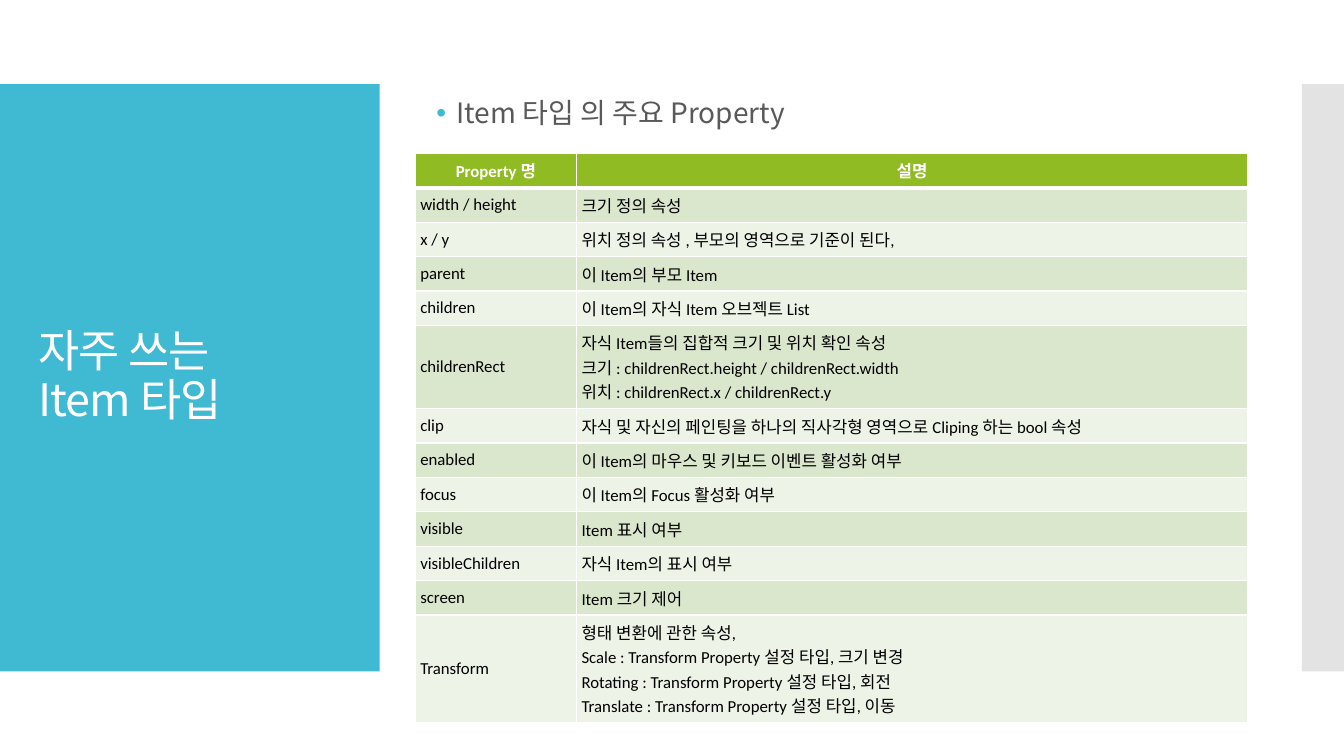
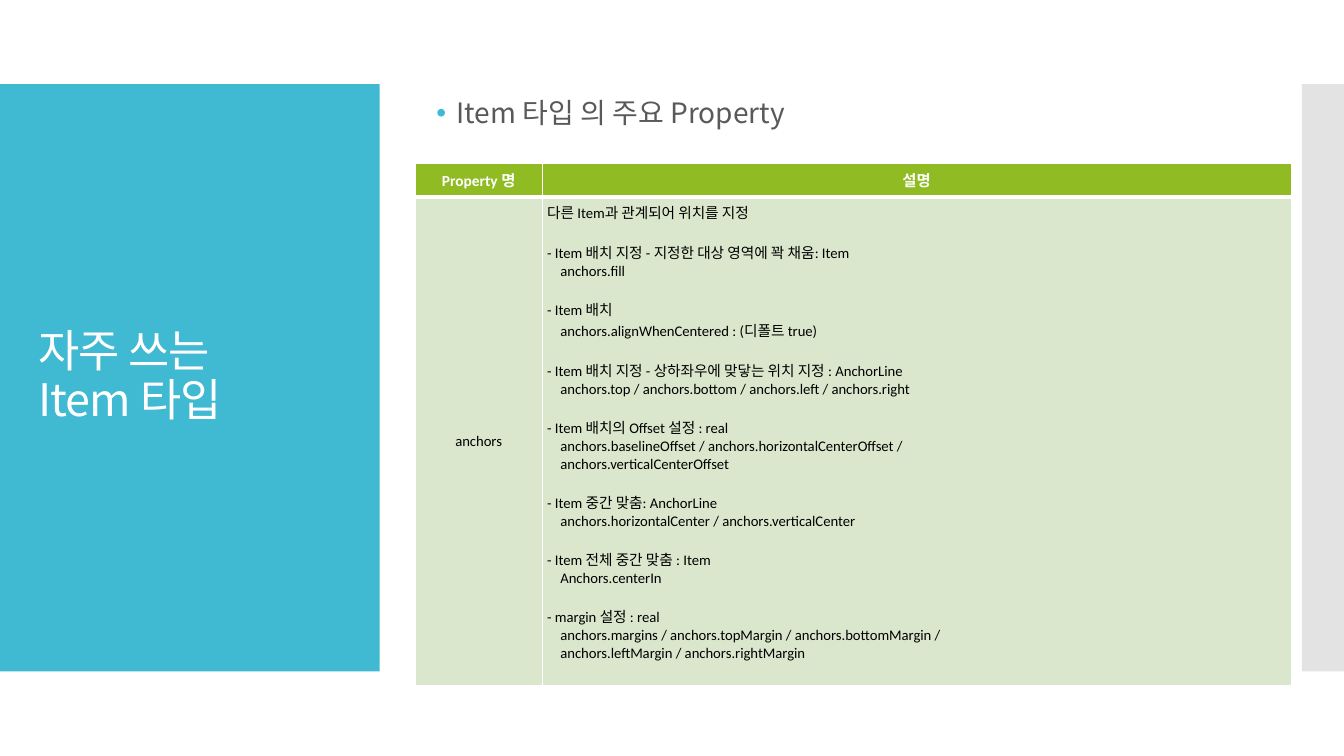
from lxml.etree import SubElement
from pptx import Presentation
from pptx.dml.color import RGBColor
from pptx.enum.shapes import MSO_SHAPE
from pptx.enum.text import MSO_ANCHOR, MSO_AUTO_SIZE, PP_ALIGN
from pptx.oxml.ns import qn
from pptx.util import Pt

TITLE_LINES = ("자주 쓰는", "Item 타입")
TOPIC = "Item 타입 의 주요 Property"
HEADER = ("Property 명", "설명")

# A description is a list of groups; a group is a heading and its indented lines.
PROPERTIES = [
    ("width / height", [["크기 정의 속성"]]),
    ("x / y", [["위치 정의 속성 , 부모의 영역으로 기준이 된다,"]]),
    ("parent", [["이 Item의 부모 Item"]]),
    ("children", [["이 Item의 자식 Item 오브젝트 List"]]),
    ("childrenRect", [
        ["자식 Item들의 집합적 크기 및 위치 확인 속성"],
        ["크기 : childrenRect.height / childrenRect.width"],
        ["위치 : childrenRect.x / childrenRect.y"],
    ]),
    ("clip", [["자식 및 자신의 페인팅을 하나의 직사각형 영역으로 Cliping 하는 bool 속성"]]),
    ("enabled", [["이 Item의 마우스 및 키보드 이벤트 활성화 여부"]]),
    ("focus", [["이 Item의 Focus 활성화 여부"]]),
    ("visible", [["Item 표시 여부"]]),
    ("visibleChildren", [["자식 Item의 표시 여부"]]),
    ("screen", [["Item 크기 제어"]]),
    ("Transform", [
        ["형태 변환에 관한 속성,"],
        ["Scale : Transform Property 설정 타입, 크기 변경"],
        ["Rotating : Transform Property 설정 타입, 회전"],
        ["Translate : Transform Property 설정 타입, 이동"],
    ]),
]
ANCHORS = [
    ("anchors", [
        ["다른 Item과 관계되어 위치를 지정"],
        ["- Item 배치 지정 - 지정한 대상 영역에 꽉 채움: Item", "anchors.fill"],
        ["- Item 배치", "anchors.alignWhenCentered : (디폴트 true)"],
        ["- Item 배치 지정 - 상하좌우에 맞닿는 위치 지정 : AnchorLine",
         "anchors.top / anchors.bottom / anchors.left / anchors.right"],
        ["- Item 배치의 Offset 설정 : real",
         "anchors.baselineOffset / anchors.horizontalCenterOffset /",
         "anchors.verticalCenterOffset"],
        ["- Item 중간 맞춤: AnchorLine",
         "anchors.horizontalCenter / anchors.verticalCenter"],
        ["- Item 전체 중간 맞춤 : Item", "Anchors.centerIn"],
        ["- margin 설정 : real",
         "anchors.margins / anchors.topMargin / anchors.bottomMargin /",
         "anchors.leftMargin / anchors.rightMargin"],
    ]),
]


def color(value):
    return RGBColor.from_string(value)


class SlideBuilder:
    ACCENT, SIDE, WHITE, BLACK, GRAY = "40BAD2", "C8C8C8", "FFFFFF", "000000", "595959"
    HEAD, BANDS = "90BB23", ("DBE7CD", "EEF3E8")
    DISPLAY, BODY = "Noto Sans CJK KR", "Calibri"
    TABLE_LEFT, CELL_MARGIN, INDENT = 296.6, 3.6, 9.4

    def __init__(self):
        self.deck = Presentation()
        self.deck.slide_width, self.deck.slide_height = Pt(960), Pt(540)
        self.page = None

    def start_page(self):
        self.page = self.deck.slides.add_slide(self.deck.slide_layouts[5])
        self.band(0, 271.2, self.ACCENT)
        self.band(930, 30, self.SIDE, opacity=50)
        self.title()
        self.topic()

    def band(self, left, width, fill, opacity=100):
        """Draw a full-height side band behind the title."""
        shape = self.page.shapes.add_shape(
            MSO_SHAPE.RECTANGLE, Pt(left), Pt(60), Pt(width), Pt(419.5))
        shape.shadow.inherit = False
        shape.fill.solid()
        shape.fill.fore_color.rgb = color(fill)
        shape.line.fill.background()
        if opacity < 100:
            tint = shape._element.spPr.find(qn("a:solidFill"))[0]
            SubElement(tint, qn("a:alpha"), val=str(opacity * 1000))
        self.page.shapes.title._element.addprevious(shape._element)

    def span(self, para, text, size, ink, face, bold=False):
        run = para.add_run()
        run.text = text
        run.font.size, run.font.bold, run.font.name = Pt(size), bold, face
        run.font.color.rgb = color(ink)
        properties = run._r.get_or_add_rPr()
        east_asian = SubElement(properties, qn("a:ea"), typeface=self.DISPLAY)
        properties.find(qn("a:latin")).addnext(east_asian)
        return run

    def title(self):
        box = self.page.shapes.title
        box.left, box.top, box.width, box.height = Pt(20), Pt(88.5), Pt(232), Pt(362)
        frame = box.text_frame
        frame.word_wrap, frame.auto_size = True, MSO_AUTO_SIZE.NONE
        frame.vertical_anchor = MSO_ANCHOR.MIDDLE
        para = frame.paragraphs[0]
        para.alignment, para.line_spacing = PP_ALIGN.LEFT, 0.9
        for index, line in enumerate(TITLE_LINES):
            if index:
                para.add_line_break()
            run = self.span(para, line, 32, self.WHITE, self.DISPLAY)
            run._r.get_or_add_rPr().set("spc", "-60")

    def topic(self):
        box = self.page.shapes.add_textbox(Pt(304.6), Pt(67.7), Pt(576), Pt(35.5))
        box.text_frame.word_wrap = True
        para = box.text_frame.paragraphs[0]
        para.line_spacing = 0.9
        properties = para._p.get_or_add_pPr()
        properties.set("marL", str(Pt(14.4)))
        properties.set("indent", str(-Pt(14.4)))
        bullet_color = SubElement(properties, qn("a:buClr"))
        SubElement(bullet_color, qn("a:srgbClr"), val=self.ACCENT)
        SubElement(properties, qn("a:buFont"), typeface="Arial")
        SubElement(properties, qn("a:buChar"), char="•")
        self.span(para, TOPIC, 20, self.GRAY, self.DISPLAY)

    def borders(self, cell, top, bottom):
        properties = cell._tc.get_or_add_tcPr()
        for side, weight in (("L", 1), ("R", 1), ("T", top), ("B", bottom)):
            line = SubElement(properties, qn("a:ln" + side), w=str(Pt(weight)))
            fill = SubElement(line, qn("a:solidFill"))
            SubElement(fill, qn("a:srgbClr"), val=self.WHITE)

    def cell(self, cell, groups, fill, size, ink, bold=False, centered=False,
             gap=0, top=1, bottom=1, anchor=MSO_ANCHOR.MIDDLE):
        """Fill a cell with groups of lines, set apart by gap points."""
        cell.margin_left = cell.margin_right = Pt(self.CELL_MARGIN)
        cell.margin_top = cell.margin_bottom = Pt(self.CELL_MARGIN)
        cell.vertical_anchor = anchor
        self.borders(cell, top, bottom)
        cell.fill.solid()
        cell.fill.fore_color.rgb = color(fill)
        frame = cell.text_frame
        for group_index, group in enumerate(groups):
            for line_index, line in enumerate(group):
                first = group_index == line_index == 0
                para = frame.paragraphs[0] if first else frame.add_paragraph()
                para.alignment = PP_ALIGN.CENTER if centered else PP_ALIGN.LEFT
                if line_index:
                    para._p.get_or_add_pPr().set("marL", str(Pt(self.INDENT)))
                elif group_index and gap:
                    para.space_before = Pt(gap)
                self.span(para, line, size, ink, self.BODY, bold)

    def table(self, rows, top, widths, heights, head_size, size, gap=0,
              center_names=False, anchor=MSO_ANCHOR.MIDDLE):
        table = self.page.shapes.add_table(
            len(rows) + 1, len(widths), Pt(self.TABLE_LEFT), Pt(top),
            Pt(sum(widths)), Pt(sum(heights))).table
        table.first_row = table.horz_banding = False
        for column, width in zip(table.columns, widths):
            column.width = Pt(width)
        for row, height in zip(table.rows, heights):
            row.height = Pt(height)
        for index, label in enumerate(HEADER):
            self.cell(table.cell(0, index), [[label]], self.HEAD, head_size,
                      self.WHITE, bold=True, centered=True, bottom=3)
        for index, (name, description) in enumerate(rows, 1):
            fill = self.BANDS[(index - 1) % 2]
            rule = 3 if index == 1 else 1
            self.cell(table.cell(index, 0), [[name]], fill, size, self.BLACK,
                      centered=center_names, top=rule)
            self.cell(table.cell(index, 1), description, fill, size, self.BLACK,
                      gap=gap, top=rule, anchor=anchor)


def main():
    builder = SlideBuilder()

    builder.start_page()
    line_height = 17.4
    heights = [7.2 + line_height * len(groups) for _, groups in PROPERTIES]
    builder.table(PROPERTIES, 109.6, (115.2, 479.5), [24.6] + heights, 12, 12)

    builder.start_page()
    builder.table(ANCHORS, 116.8, (90.7, 535), (23.8, 349.2), 11, 10.5, gap=13,
                  center_names=True, anchor=MSO_ANCHOR.TOP)

    builder.deck.save("out.pptx")


if __name__ == "__main__":
    main()
